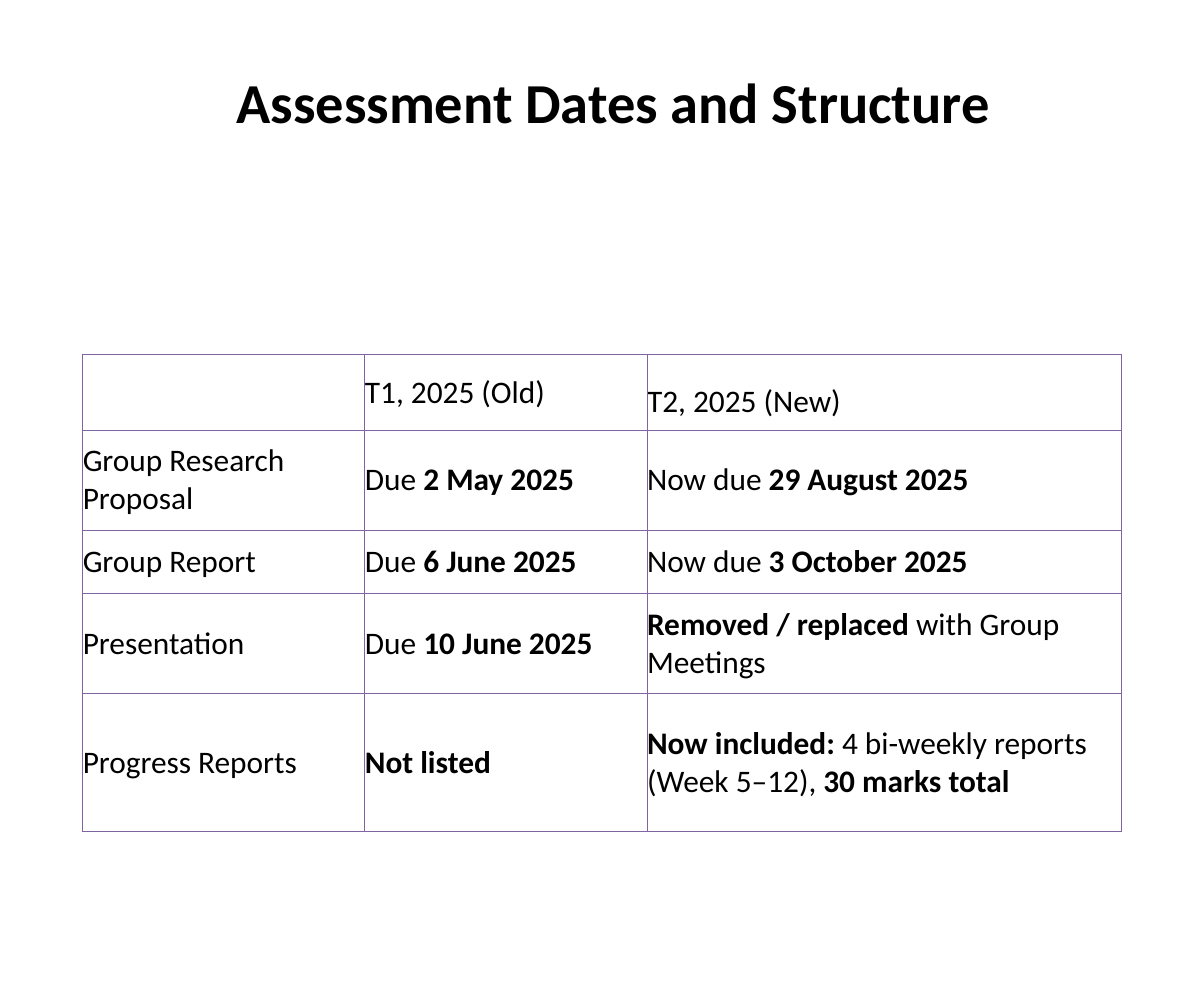
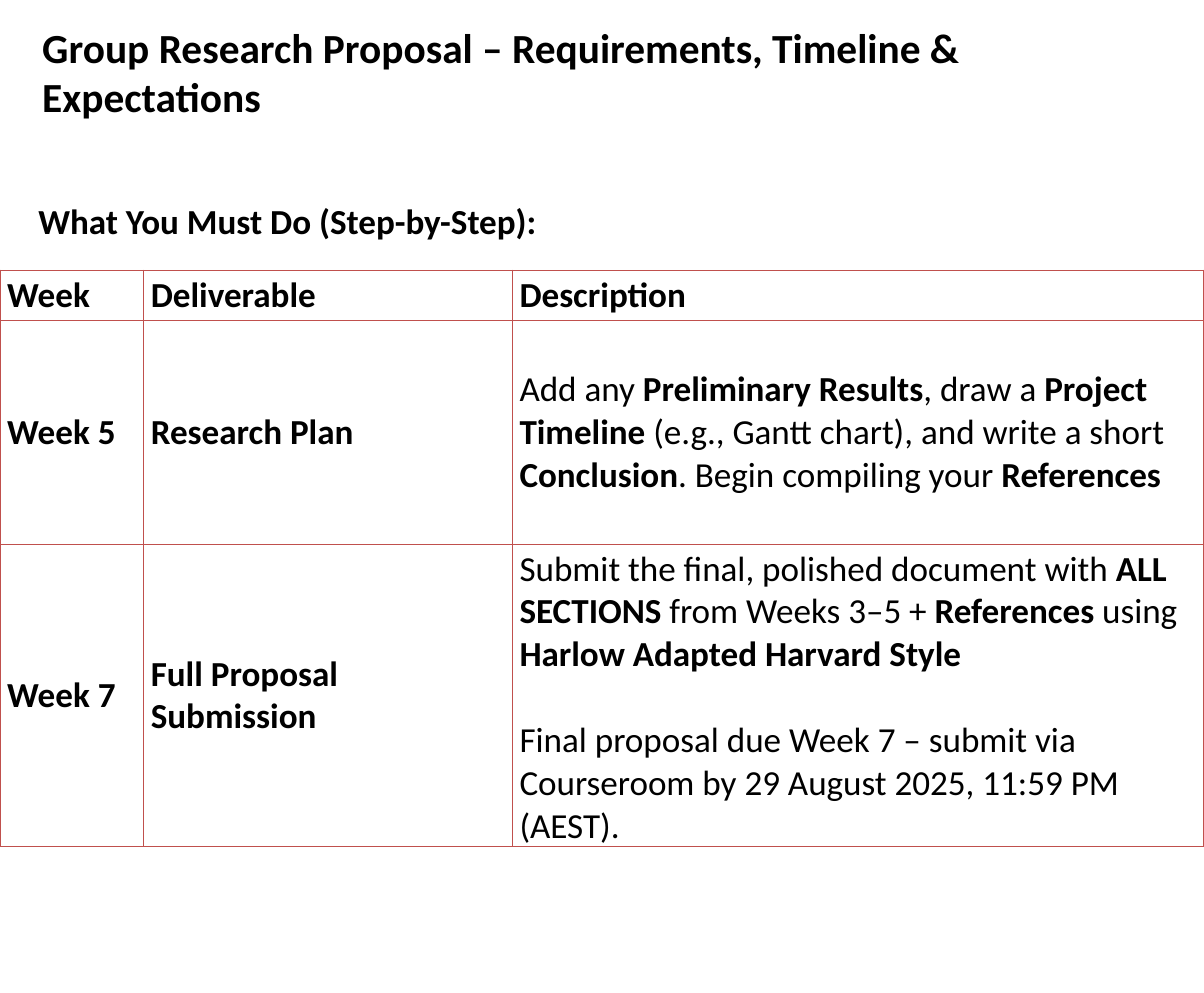
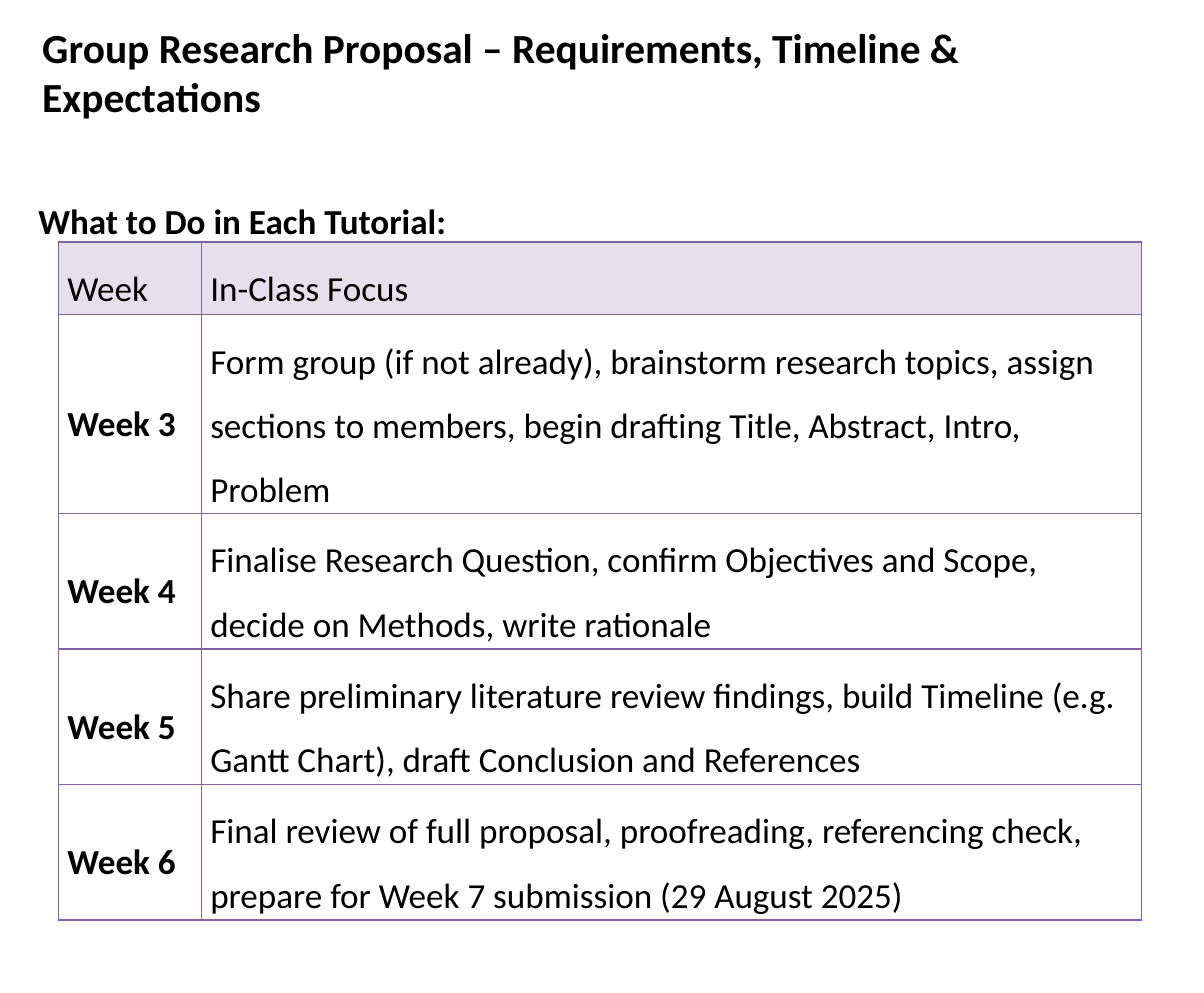
"""Build three slides on assessment dates and the group research proposal."""
from lxml.etree import SubElement
from pptx import Presentation
from pptx.dml.color import RGBColor
from pptx.enum.text import MSO_ANCHOR, MSO_AUTO_SIZE, PP_ALIGN
from pptx.oxml.ns import qn
from pptx.util import Pt

COLORS = {"text": "000000", "purple": "8064A2", "red": "C0504D", "lilac": "E6E0EC"}
PROPOSAL_TITLE = "Group Research Proposal – Requirements, Timeline & Expectations"

DATES = [
    ["", "T1, 2025 (Old)", "T2, 2025 (New)"],
    ["Group Research Proposal", "Due *2 May 2025*", "Now due *29 August 2025*"],
    ["Group Report", "Due *6 June 2025*", "Now due *3 October 2025*"],
    ["Presentation", "Due *10 June 2025*", "*Removed / replaced* with Group Meetings"],
    ["Progress Reports", "*Not listed*",
     "*Now included:* 4 bi-weekly reports (Week 5–12), *30 marks total*"],
]
DELIVERABLES = [
    ["*Week*", "*Deliverable*", "*Description*"],
    ["*Week 5*", "*Research Plan*",
     "Add any *Preliminary Results*, draw a *Project Timeline* (e.g., Gantt chart), "
     "and write a short *Conclusion*. Begin compiling your *References*"],
    ["*Week 7*", "*Full Proposal Submission*",
     "Submit the final, polished document with *ALL SECTIONS* from Weeks 3–5 + "
     "*References* using *Harlow Adapted Harvard Style*\n"
     "Final proposal due Week 7 – submit via Courseroom by 29 August 2025, 11:59 PM (AEST)."],
]
TUTORIALS = [
    ["Week", "In-Class Focus"],
    ["*Week 3*", "Form group (if not already), brainstorm research topics, assign sections "
     "to members, begin drafting Title, Abstract, Intro, Problem"],
    ["*Week 4*", "Finalise Research Question, confirm Objectives and Scope, "
     "decide on Methods, write rationale"],
    ["*Week 5*", "Share preliminary literature review findings, build Timeline "
     "(e.g. Gantt Chart), draft Conclusion and References"],
    ["*Week 6*", "Final review of full proposal, proofreading, referencing check, "
     "prepare for Week 7 submission (29 August 2025)"],
]


class Deck:
    """Hold the shared style and the current slide."""

    def __init__(self):
        self.presentation = Presentation()
        self.presentation.slide_width = Pt(960)
        self.presentation.slide_height = Pt(792)
        self.font = "Calibri"
        self.slide = None

    def add_slide(self):
        """Start a new blank slide."""
        self.slide = self.presentation.slides.add_slide(self.presentation.slide_layouts[6])

    def add_runs(self, paragraph, text, size):
        """Add runs for a text whose parts between asterisks are bold."""
        for index, part in enumerate(text.split("*")):
            if part:
                run = paragraph.add_run()
                run.text = part
                run.font.name = self.font
                run.font.size = Pt(size)
                run.font.bold = index % 2 == 1
                run.font.color.rgb = RGBColor.from_string(COLORS["text"])

    def text(self, box, text, size, indent=0):
        """Add a bold text box and return its shape."""
        shape = self.slide.shapes.add_textbox(*map(Pt, box))
        shape.text_frame.word_wrap = True
        paragraph = shape.text_frame.paragraphs[0]
        paragraph._p.get_or_add_pPr().set("marL", str(Pt(indent)))
        self.add_runs(paragraph, f"*{text}*", size)
        return shape

    def main_title(self, text):
        """Add the large centred title."""
        frame = self.text((79, 20, 801.5, 128), text, 45, 18.72).text_frame
        frame.vertical_anchor = MSO_ANCHOR.MIDDLE
        paragraph = frame.paragraphs[0]
        paragraph.alignment = PP_ALIGN.CENTER
        paragraph.line_spacing = 0.9
        paragraph.space_after = Pt(6)

    def proposal_heading(self, subtitle):
        """Add the proposal title and the subtitle below it."""
        title = self.text((15, 16.5, 819.5, 80.5), PROPOSAL_TITLE, 33, 18.72).text_frame
        title.margin_left = title.margin_right = title.margin_bottom = 0
        title.margin_top = Pt(0.95)
        title.paragraphs[0].space_before = Pt(1)
        heading = self.text((23.5, 138.5, 936, 52.5), subtitle, 28).text_frame
        heading.paragraphs[0].line_spacing = 1.5
        for frame in (title, heading):
            frame.auto_size = MSO_AUTO_SIZE.SHAPE_TO_FIT_TEXT

    def border(self, cell, color):
        """Draw a one-point line on every side of a cell."""
        properties = cell._tc.get_or_add_tcPr()
        for side in ("a:lnL", "a:lnR", "a:lnT", "a:lnB"):
            line = SubElement(properties, qn(side), w=str(Pt(1)))
            fill = SubElement(line, qn("a:solidFill"))
            SubElement(fill, qn("a:srgbClr"), val=COLORS[color])

    def table(self, left, top, widths, heights, rows, size, color, margins,
              header_fill=None, spaced=lambda row, column: False):
        """Add a bordered table with optional header fill and wide line spacing."""
        frame = self.slide.shapes.add_table(len(rows), len(widths), Pt(left), Pt(top),
                                            Pt(sum(widths)), Pt(sum(heights)))
        table = frame.table
        table.first_row = table.horz_banding = False
        for column, width in zip(table.columns, widths):
            column.width = Pt(width)
        for row, height in zip(table.rows, heights):
            row.height = Pt(height)
        for row_index, row in enumerate(rows):
            for column_index, text in enumerate(row):
                cell = table.cell(row_index, column_index)
                cell.vertical_anchor = MSO_ANCHOR.MIDDLE
                (cell.margin_left, cell.margin_top,
                 cell.margin_right, cell.margin_bottom) = map(Pt, margins)
                self.border(cell, color)
                if header_fill and row_index == 0:
                    cell.fill.solid()
                    cell.fill.fore_color.rgb = RGBColor.from_string(COLORS[header_fill])
                else:
                    cell.fill.background()
                for index, line in enumerate(text.split("\n")):
                    paragraph = cell.text_frame.paragraphs[0]
                    if index:
                        paragraph = cell.text_frame.add_paragraph()
                        paragraph.space_before = Pt(34)
                    if spaced(row_index, column_index):
                        paragraph.line_spacing = 1.5
                    self.add_runs(paragraph, line, size)


def main():
    """Build the slides and save them."""
    deck = Deck()

    deck.add_slide()
    deck.main_title("Assessment Dates and Structure")
    deck.table(66, 283, [225, 225, 378], [60, 80, 50.5, 80, 109.5], DATES, 25, "purple",
               (0, 7.2, 15, 7.2), spaced=lambda row, column: (row, column) == (0, 2))

    deck.add_slide()
    deck.proposal_heading("What You Must Do (Step-by-Step):")
    deck.table(0, 215.5, [114.5, 294, 551.5], [40.5, 178, 241.5], DELIVERABLES, 28, "red",
               (5.76, 2.88, 5.76, 2.88))

    deck.add_slide()
    deck.proposal_heading("What to Do in Each Tutorial:")
    deck.table(46.5, 193, [114, 750], [58, 158.5] + [108] * 3, TUTORIALS, 28, "purple",
               (7.2, 3.6, 7.2, 3.6), "lilac", lambda row, column: True)

    deck.presentation.save("out.pptx")


if __name__ == "__main__":
    main()
